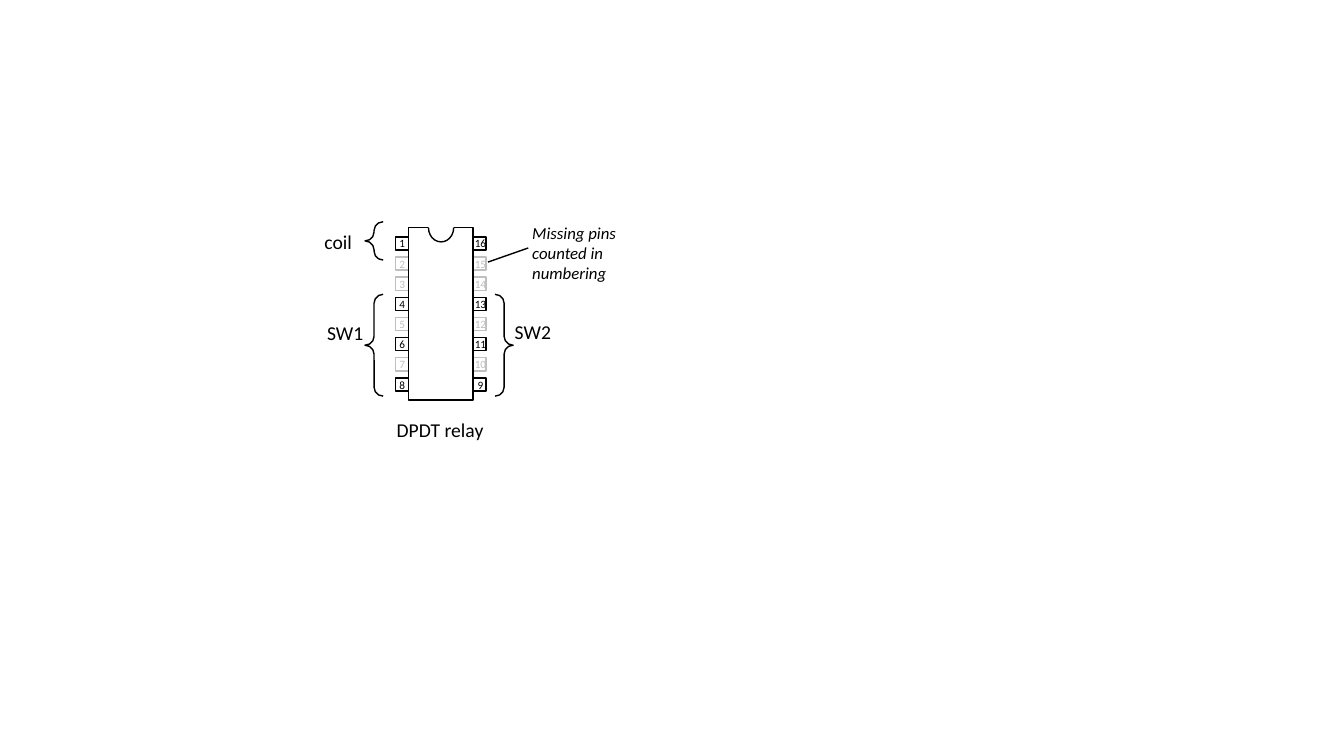
from dataclasses import dataclass

from lxml import etree
from pptx import Presentation
from pptx.dml.color import RGBColor
from pptx.enum.shapes import MSO_CONNECTOR, MSO_SHAPE
from pptx.enum.text import MSO_AUTO_SIZE, PP_ALIGN
from pptx.oxml.ns import qn
from pptx.util import Inches, Pt

RECT = MSO_SHAPE.RECTANGLE
ARC = MSO_SHAPE.ARC
LEFT_BRACE = MSO_SHAPE.LEFT_BRACE
RIGHT_BRACE = MSO_SHAPE.RIGHT_BRACE
STRAIGHT = MSO_CONNECTOR.STRAIGHT
GROW = MSO_AUTO_SIZE.SHAPE_TO_FIT_TEXT
LEFT = PP_ALIGN.LEFT
CENTER = PP_ALIGN.CENTER


@dataclass(frozen=True)
class Theme:
    ink: RGBColor = RGBColor(0x00, 0x00, 0x00)
    missing: RGBColor = RGBColor(0xBF, 0xBF, 0xBF)
    paper: RGBColor = RGBColor(0xFF, 0xFF, 0xFF)
    font: str = "Calibri"
    label: int = 14
    note: int = 12
    pin: int = 8
    line: int = 1


class Diagram:
    def __init__(self, slide, theme):
        self.s = slide
        self.t = theme

    def shape(self, kind, x, y, w, h, line=None, fill=None, adj=()):
        sp = self.s.shapes.add_shape(kind, Inches(x), Inches(y), Inches(w), Inches(h))
        sp.shadow.inherit = False
        for i, value in enumerate(adj):
            sp.adjustments[i] = value
        if fill is None:
            sp.fill.background()
        else:
            sp.fill.solid()
            sp.fill.fore_color.rgb = fill
        if line is None:
            sp.line.fill.background()
        else:
            sp.line.color.rgb = line
            sp.line.width = Pt(self.t.line)
        return sp

    def text(self, words, x, y, w, h, size, color=None, align=CENTER, italic=False):
        sp = self.s.shapes.add_textbox(Inches(x), Inches(y), Inches(w), Inches(h))
        tf = sp.text_frame
        tf.word_wrap = True
        tf.auto_size = GROW
        p = tf.paragraphs[0]
        p.text = words
        p.alignment = align
        p.font.name = self.t.font
        p.font.size = Pt(size)
        p.font.italic = italic
        p.font.color.rgb = color or self.t.ink
        return sp

    def label(self, words, x, y, w=0.57):
        return self.text(words, x, y, w, 0.34, self.t.label)

    def brace(self, kind, x, y, h):
        return self.shape(kind, x, y, 0.18, h, self.t.ink, adj=(0.487, 0.5))

    def line(self, x1, y1, x2, y2):
        c = self.s.shapes.add_connector(
            STRAIGHT, Inches(x1), Inches(y1), Inches(x2), Inches(y2))
        c.line.color.rgb = self.t.ink
        c.line.width = Pt(self.t.line)
        etree.SubElement(c._element.spPr, qn("a:effectLst"))
        return c


def main():
    prs = Presentation()
    prs.slide_width = Inches(13.33)
    prs.slide_height = Inches(7.5)
    t = Theme()
    d = Diagram(prs.slides.add_slide(prs.slide_layouts[6]), t)

    rows, pitch = 8, 0.2
    present = {1, 4, 6, 8}
    pins = [(n, (n - 1) * pitch, t.ink if n in present else t.missing)
            for n in range(1, rows + 1)]

    for n, dy, color in pins:
        d.shape(RECT, 3.92, 2.35 + dy, 0.9, 0.13, color)

    d.shape(RECT, 4.05, 2.26, 0.64, 1.71, t.ink, t.paper)
    d.shape(RECT, 4.25, 2.19, 0.25, 0.12, fill=t.paper)
    d.shape(ARC, 4.25, 2.12, 0.25, 0.28, t.ink, adj=(0.036, 108))

    for n, dy, color in pins:
        d.text(str(n), 3.81, 2.3 + dy, 0.36, 0.24, t.pin, color)
        d.text(str(2 * rows + 1 - n), 4.57, 2.3 + dy, 0.39, 0.24, t.pin, color)

    d.brace(LEFT_BRACE, 3.62, 2.92, 1.01)
    d.brace(RIGHT_BRACE, 4.91, 2.92, 1.01)
    d.brace(LEFT_BRACE, 3.62, 2.2, 0.38)

    d.label("DPDT relay", 3.83, 4.1, 1.07)
    d.label("SW1", 3.14, 3.13)
    d.label("SW2", 5, 3.12)
    d.label("coil", 3.07, 2.23)
    d.text("Missing pins counted in numbering", 5.18, 2.16, 1.31, 0.71,
           t.note, align=LEFT, italic=True)
    d.line(5.24, 2.46, 4.84, 2.6)

    prs.save("out.pptx")


if __name__ == "__main__":
    main()
